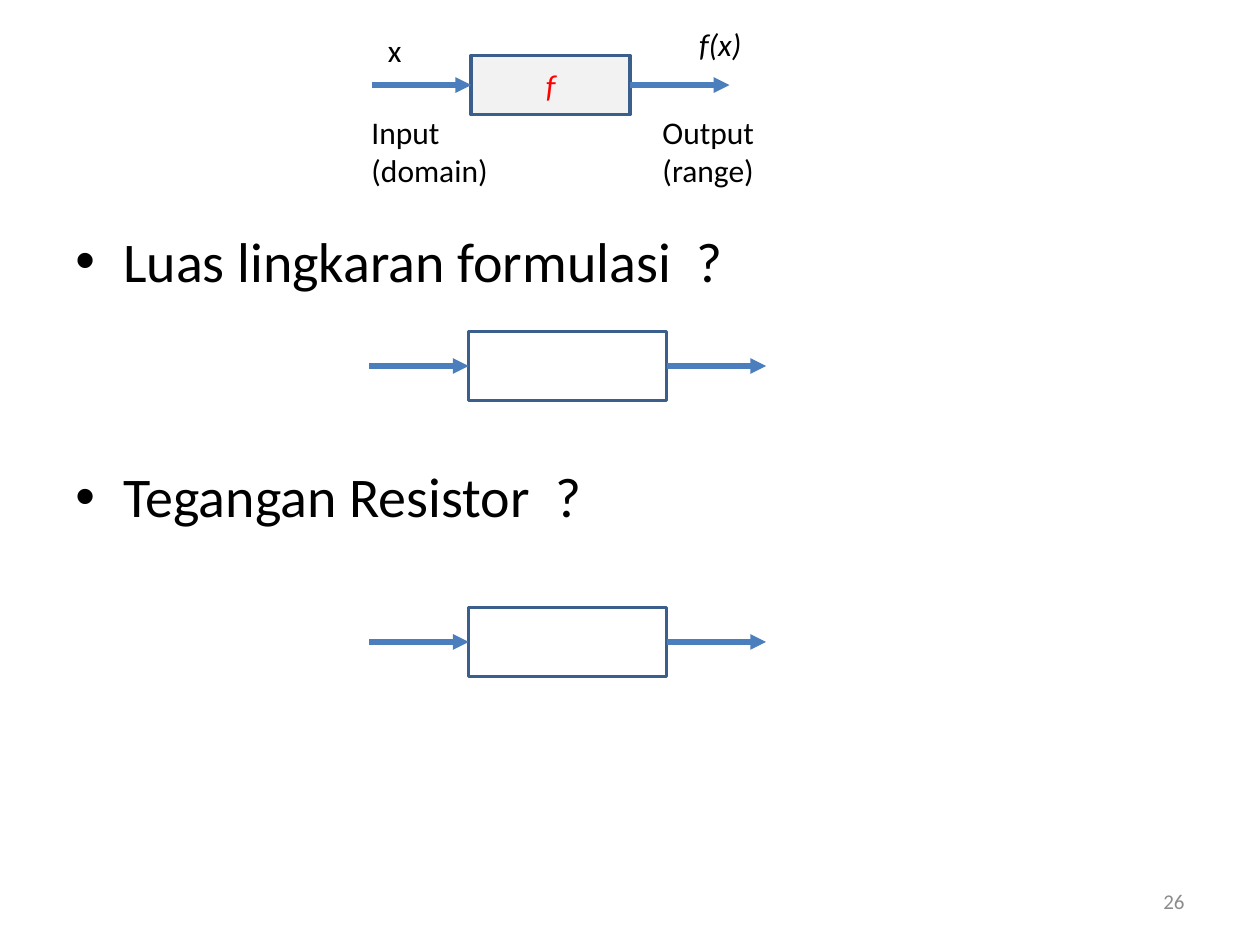
from dataclasses import dataclass

from lxml import etree
from pptx import Presentation
from pptx.dml.color import RGBColor
from pptx.enum import shapes, text
from pptx.oxml import ns
from pptx.util import Inches, Pt

FONT = "Calibri"
BLACK, RED, GRAY = "000000", "FF0000", "8C8C8C"
BORDER, ARROW = "3A5F8C", "4B7EBC"
ARROW_LENGTH = 0.79


@dataclass
class Label:
    lines: tuple[str, ...]
    left: float
    top: float
    width: float
    height: float
    italic: bool = False


@dataclass
class Machine:
    left: float
    top: float
    width: float
    height: float
    fill: str = "FFFFFF"
    name: str = ""


LABELS = [
    Label(("Input", "(domain)"), 2.85, 0.85, 1.14, 0.71),
    Label(("Output", "(range)"), 5.16, 0.85, 0.94, 0.71),
    Label(("x",), 2.98, 0.2, 0.31, 0.4),
    Label(("f(x)",), 5.45, 0.15, 0.54, 0.4, italic=True),
]
MACHINES = [
    Machine(3.74, 0.44, 1.26, 0.47, "F2F2F2", "f"),
    Machine(3.72, 2.63, 1.57, 0.55),
    Machine(3.72, 4.82, 1.57, 0.55),
]
QUESTIONS = ["Luas lingkaran formulasi  ?", "Tegangan Resistor  ?"]


def color(value: str) -> RGBColor:
    return RGBColor.from_string(value)


def add_span(para, words: str, size: float, hue: str = BLACK, italic: bool = False) -> None:
    span = para.add_run()
    span.text = words
    span.font.name = FONT
    span.font.size = Pt(size)
    span.font.italic = italic
    span.font.color.rgb = color(hue)


def add_paragraph(frame, index: int):
    return frame.add_paragraph() if index else frame.paragraphs[0]


def add_box(page, left: float, top: float, width: float, height: float, wrap: bool = True):
    box = page.shapes.add_textbox(Inches(left), Inches(top), Inches(width), Inches(height))
    box.text_frame.word_wrap = wrap
    return box.text_frame


def add_label(page, label: Label) -> None:
    frame = add_box(page, label.left, label.top, label.width, label.height, wrap=False)
    frame.auto_size = text.MSO_AUTO_SIZE.SHAPE_TO_FIT_TEXT
    for index, line in enumerate(label.lines):
        add_span(add_paragraph(frame, index), line, 18, italic=label.italic)


def add_arrow(page, start: float, y: float) -> None:
    arrow = page.shapes.add_connector(
        shapes.MSO_CONNECTOR.STRAIGHT,
        Inches(start), Inches(y), Inches(start + ARROW_LENGTH), Inches(y),
    )
    arrow.line.color.rgb = color(ARROW)
    arrow.line.width = Pt(3)
    etree.SubElement(arrow.line._get_or_add_ln(), ns.qn("a:tailEnd"), type="triangle")
    etree.SubElement(arrow._element.spPr, ns.qn("a:effectLst"))


def add_machine(page, machine: Machine) -> None:
    box = page.shapes.add_shape(
        shapes.MSO_SHAPE.RECTANGLE,
        Inches(machine.left), Inches(machine.top),
        Inches(machine.width), Inches(machine.height),
    )
    box.shadow.inherit = False
    box.fill.solid()
    box.fill.fore_color.rgb = color(machine.fill)
    box.line.color.rgb = color(BORDER)
    box.line.width = Pt(2)
    if machine.name:
        box.text_frame.vertical_anchor = text.MSO_ANCHOR.MIDDLE
        para = box.text_frame.paragraphs[0]
        para.alignment = text.PP_ALIGN.CENTER
        add_span(para, machine.name, 18, RED, italic=True)
    middle = machine.top + machine.height / 2
    add_arrow(page, machine.left - ARROW_LENGTH, middle)
    add_arrow(page, machine.left + machine.width, middle)


def add_questions(page) -> None:
    frame = add_box(page, 0.5, 1.75, 9, 4.95)
    for index, question in enumerate(QUESTIONS):
        para = add_paragraph(frame, index)
        para.space_before = Pt(96 * index)
        properties = para._p.get_or_add_pPr()
        properties.set("marL", str(Inches(0.38)))
        properties.set("indent", str(Inches(-0.38)))
        etree.SubElement(properties, ns.qn("a:buFont"), typeface="Arial")
        etree.SubElement(properties, ns.qn("a:buChar"), char="•")
        add_span(para, question, 32)


def add_page_number(page, number: str) -> None:
    frame = add_box(page, 7.17, 6.95, 2.33, 0.4)
    frame.vertical_anchor = text.MSO_ANCHOR.MIDDLE
    para = frame.paragraphs[0]
    para.alignment = text.PP_ALIGN.RIGHT
    add_span(para, number, 12, GRAY)


def main() -> None:
    deck = Presentation()
    deck.slide_width, deck.slide_height = Inches(10), Inches(7.5)
    page = deck.slides.add_slide(deck.slide_layouts[6])
    add_questions(page)
    add_page_number(page, "26")
    for machine in MACHINES:
        add_machine(page, machine)
    for label in LABELS:
        add_label(page, label)
    deck.save("out.pptx")


if __name__ == "__main__":
    main()
